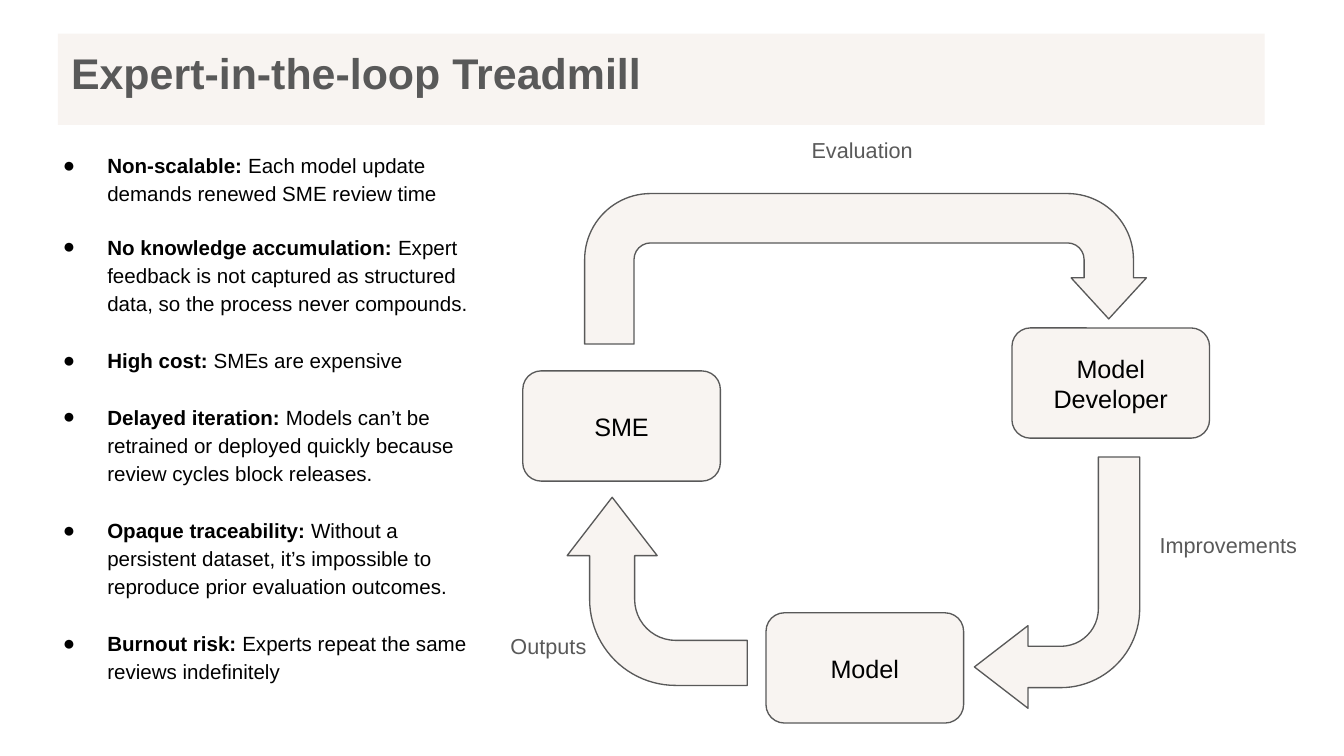
from lxml import etree
from pptx import Presentation
from pptx.dml.color import RGBColor
from pptx.enum.shapes import MSO_SHAPE
from pptx.enum.text import MSO_ANCHOR, PP_ALIGN
from pptx.oxml.ns import qn
from pptx.util import Inches, Pt

COLORS = {"panel": "F8F4F1", "gray": "595959", "text": "000000"}
FONT = "Arial"
BEND = (0.25, 0.25, 0.324, 0.478)
UTURN = (0.328, 0.25, 0.273, 0.438, 0.833)

RISKS = [
    ("Non-scalable:", " Each model update demands renewed SME review time"),
    ("No knowledge accumulation:", " Expert feedback is not captured as "
     "structured data, so the process never compounds."),
    ("High cost: ", "SMEs are expensive"),
    ("Delayed iteration:", " Models can’t be retrained or deployed quickly "
     "because review cycles block releases."),
    ("Opaque traceability:", " Without a persistent dataset, it’s impossible "
     "to reproduce prior evaluation outcomes."),
    ("Burnout risk:", " Experts repeat the same reviews indefinitely"),
]


def color(name):
    return RGBColor.from_string(COLORS[name])


def add_run(paragraph, text, size, color_name, bold=False):
    run = paragraph.add_run()
    run.text = text
    run.font.name = FONT
    run.font.size = Pt(size)
    run.font.bold = bold
    run.font.color.rgb = color(color_name)


def prepare_frame(shape, anchor=MSO_ANCHOR.TOP):
    frame = shape.text_frame
    frame.word_wrap = True
    frame.vertical_anchor = anchor
    frame.margin_left = frame.margin_right = Inches(0.1)
    frame.margin_top = frame.margin_bottom = Inches(0.1)
    return frame


def add_panel(slide, kind, box, adjustments=(), rotation=0, outlined=True):
    shape = slide.shapes.add_shape(kind, *map(Inches, box))
    shape.shadow.inherit = False
    shape.rotation = rotation
    for index, value in enumerate(adjustments):
        shape.adjustments[index] = value
    shape.fill.solid()
    shape.fill.fore_color.rgb = color("panel")
    if outlined:
        shape.line.color.rgb = color("gray")
        shape.line.width = Pt(0.72)
    else:
        shape.line.fill.background()
    return shape


def add_title(slide, box):
    bar = add_panel(slide, MSO_SHAPE.RECTANGLE, box, outlined=False)
    paragraph = prepare_frame(bar).paragraphs[0]
    paragraph.alignment = PP_ALIGN.LEFT
    add_run(paragraph, "Expert-in-the-loop Treadmill", 23, "gray", bold=True)


def add_bullet(paragraph):
    properties = paragraph._p.get_or_add_pPr()
    properties.set("marL", str(Inches(0.5)))
    properties.set("indent", str(Inches(-0.33)))
    bullet_color = etree.SubElement(properties, qn("a:buClr"))
    etree.SubElement(bullet_color, qn("a:srgbClr"), val=COLORS["text"])
    etree.SubElement(properties, qn("a:buFont"), typeface=FONT)
    etree.SubElement(properties, qn("a:buChar"), char="●")


def add_risks(slide, box):
    frame = prepare_frame(slide.shapes.add_textbox(*map(Inches, box)))
    for index, (heading, detail) in enumerate(RISKS):
        paragraph = frame.add_paragraph() if index else frame.paragraphs[0]
        paragraph.line_spacing = 1.15
        paragraph.space_before = Pt(0 if index else 12)
        paragraph.space_after = Pt(15.2 if index else 13.5)
        add_bullet(paragraph)
        add_run(paragraph, heading, 11, "text", bold=True)
        add_run(paragraph, detail, 11, "text")


def add_loop(slide, box):
    left, top = box[:2]

    def within(x, y, width, height):
        return left + x, top + y, width, height

    # Actors
    for text, x, y in [("SME", 0.19, 1.84), ("Model Developer", 3.83, 1.52),
                       ("Model", 2, 3.64)]:
        node = add_panel(slide, MSO_SHAPE.ROUNDED_RECTANGLE,
                         within(x, y, 1.47, 0.82), [0.167])
        paragraph = prepare_frame(node, MSO_ANCHOR.MIDDLE).paragraphs[0]
        paragraph.alignment = PP_ALIGN.CENTER
        add_run(paragraph, text, 13.5, "text")

    # Block arrows
    for kind, place, adjustments, rotation in [
        (MSO_SHAPE.BENT_ARROW, (3.55, 2.48, 1.23, 1.87), BEND, 180),
        (MSO_SHAPE.BENT_ARROW, (0.49, 2.81, 1.4, 1.34), BEND, 270),
        (MSO_SHAPE.U_TURN_ARROW, (0.65, 0.52, 4.18, 1.12), UTURN, 0),
    ]:
        add_panel(slide, kind, within(*place), adjustments, rotation)

    # Arrow labels
    for text, x, y, width in [("Outputs", 0, 3.69, 1), ("Evaluation", 2.24, 0, 1),
                              ("Improvements", 4.83, 2.94, 1.47)]:
        label = slide.shapes.add_textbox(*map(Inches, within(x, y, width, 0.39)))
        add_run(prepare_frame(label).paragraphs[0], text, 11.6, "gray")


def main():
    presentation = Presentation()
    # Widescreen, 16:9
    presentation.slide_width = Inches(10)
    presentation.slide_height = Inches(10 * 9 / 16)
    slide = presentation.slides.add_slide(presentation.slide_layouts[6])
    add_loop(slide, (3.7, 0.92, 6.3, 4.46))
    add_title(slide, (0.43, 0.25, 8.98, 0.68))
    add_risks(slide, (0.2, 1.01, 3.46, 4.37))
    presentation.save("out.pptx")


if __name__ == "__main__":
    main()
